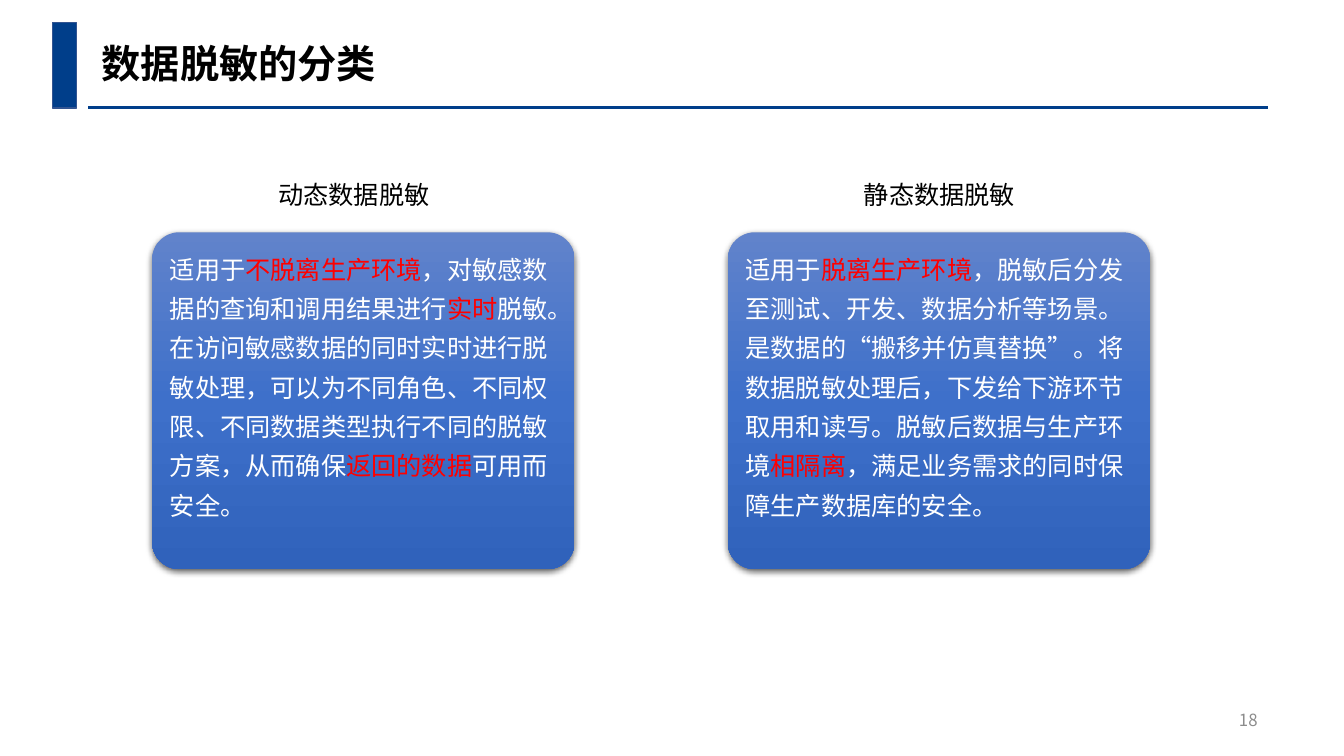
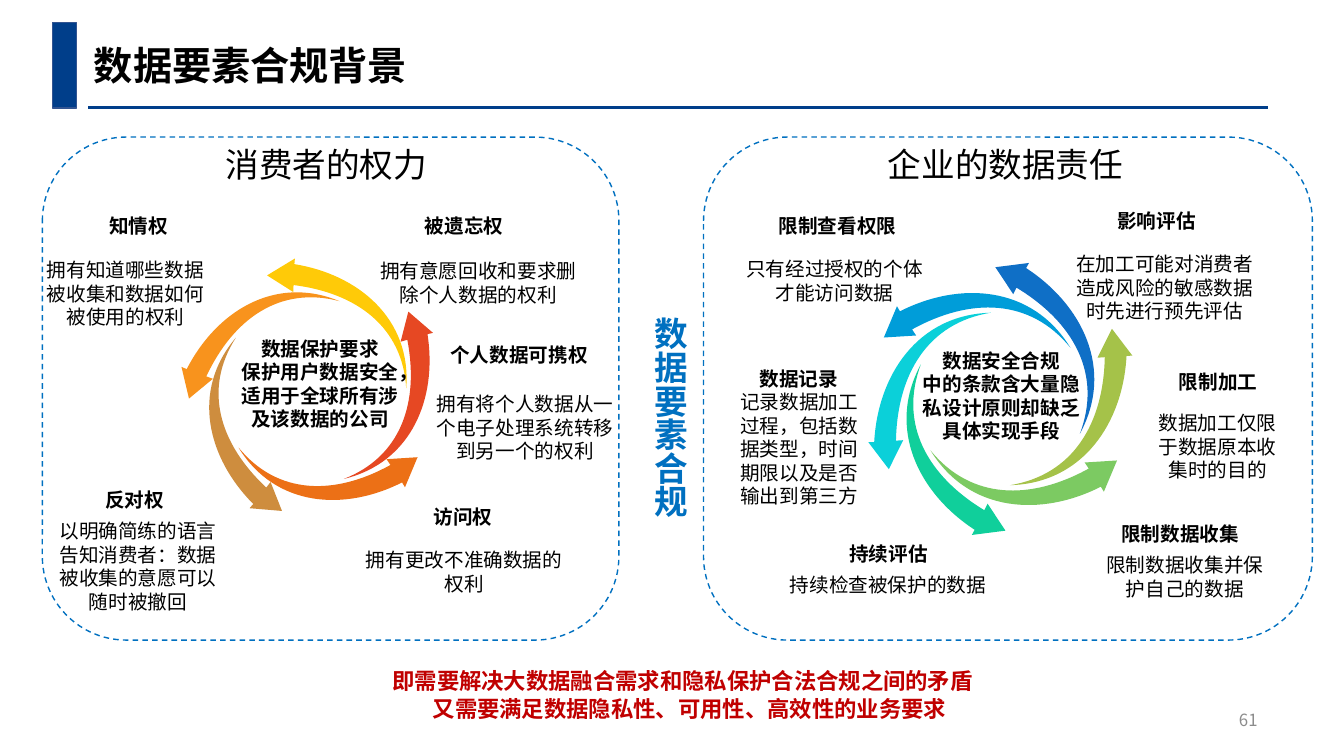
"""Build two slides on data masking and data compliance."""
import copy
import dataclasses
import math

import lxml.etree
import pptx
import pptx.dml.color
import pptx.enum.dml
import pptx.enum.shapes
import pptx.enum.text
import pptx.oxml.ns
import pptx.util

ALIGN = pptx.enum.text.PP_ALIGN
SHAPES = pptx.enum.shapes.MSO_SHAPE
qn = pptx.oxml.ns.qn


@dataclasses.dataclass(frozen=True)
class Theme:
    """Colours, type sizes and the grid of the deck."""
    font: str = "Noto Sans CJK SC"
    ink: str = "000000"
    paper: str = "FFFFFF"
    band: str = "003E8A"
    band_edge: str = "325491"
    blue: str = "0070C0"
    accent: str = "FF0000"
    closing: str = "C00000"
    muted: str = "8C8C8C"
    card: tuple = ("6183CB", "3E70CA", "3062BB")
    rights: tuple = ("FFCA08", "F8931D", "CE8D3E", "EC7016", "E64823")
    duties: tuple = ("7CCA62", "A5C249", "0F6FC6", "009DD9", "0BD0D9", "10CF9B")
    title: int = 28
    heading: int = 24
    body: int = 18
    remark: int = 16
    note: int = 14
    footer: int = 12
    columns: int = 80
    rows: int = 45


THEME = Theme()
NOTE_CHAR, NOTE_LINE, SIDE_INSETS, END_INSETS = 1.17, 1.41, 1.2, 0.6
CURVES = (
    ((2.4, 2.94), (5.94, 3), (9.42, 1.08)),
    ((9.18, 0.72),), ((11.1, 0.6),), ((10.32, 2.46),), ((10.14, 2.16),),
    ((6.6, 3.96), (2.28, 3.72), (0, 0)),
)


def rgb(value):
    """Return a colour object for a hex string."""
    return pptx.dml.color.RGBColor.from_string(value)


def write(frame, *paragraphs, size=THEME.note, color=THEME.ink, bold=False,
          align=ALIGN.LEFT, spacing=None, anchor=pptx.enum.text.MSO_ANCHOR.TOP,
          wrap=True):
    """Fill a text frame; stretches between asterisks take the accent colour."""
    frame.word_wrap = wrap
    frame.auto_size = pptx.enum.text.MSO_AUTO_SIZE.NONE
    frame.vertical_anchor = anchor
    for index, text in enumerate(paragraphs):
        paragraph = frame.add_paragraph() if index else frame.paragraphs[0]
        paragraph.alignment = align
        if spacing:
            paragraph.line_spacing = spacing
        for part, words in enumerate(text.split("*")):
            run = paragraph.add_run()
            run.text = words
            run.font.size = pptx.util.Pt(size)
            run.font.bold = bold
            run.font.color.rgb = rgb(THEME.accent if part % 2 else color)
            run.font.name = THEME.font
            east_asian = lxml.etree.SubElement(run._r.get_or_add_rPr(), qn("a:ea"))
            east_asian.set("typeface", THEME.font)


def turn(point, center, degrees):
    """Turn a point about a centre, clockwise on the slide."""
    cos, sin = math.cos(math.radians(degrees)), math.sin(math.radians(degrees))
    x, y = point[0] - center[0], point[1] - center[1]
    return center[0] + x * cos - y * sin, center[1] + x * sin + y * cos


def trace(start, segments, steps=24):
    """Return points along lines and cubic curves, to find their extent."""
    points = [start]
    for segment in segments:
        if len(segment) == 1:
            points.append(segment[0])
            continue
        controls = (points[-1], *segment)
        for t in (step / steps for step in range(1, steps + 1)):
            weights = ((1 - t) ** 3, 3 * t * (1 - t) ** 2, 3 * t * t * (1 - t), t ** 3)
            points.append(tuple(sum(w * p[axis] for w, p in zip(weights, controls))
                                for axis in (0, 1)))
    return points


class Deck:
    """Hold the style and the current slide, and draw on its grid."""

    def __init__(self):
        """Set the slide size, the grid unit and the layout."""
        self.presentation = pptx.Presentation()
        self.presentation.slide_width = pptx.util.Emu(12192000)
        self.presentation.slide_height = pptx.util.Emu(6858000)
        self.column = self.presentation.slide_width / THEME.columns
        self.row = self.presentation.slide_height / THEME.rows
        self.layout = self.presentation.slide_layouts[5]
        self.slide = None

    def place(self, left, top, width, height):
        """Turn columns and rows into lengths."""
        return [pptx.util.Emu(round(value * unit)) for value, unit in
                zip((left, top, width, height), (self.column, self.row) * 2)]

    def new_slide(self, title, box, number, align=ALIGN.LEFT):
        """Add a slide with its title and page number."""
        self.slide = self.presentation.slides.add_slide(self.layout)
        if len(self.presentation.slides) == 1:
            self.frame_layout()
        heading = self.slide.shapes.title
        heading.left, heading.top, heading.width, heading.height = self.place(*box)
        write(heading.text_frame, title, size=THEME.title, bold=True, align=align)
        self.text((61.95, 41.64, 13.5, 2.4), number, size=THEME.footer,
                  color=THEME.muted, align=ALIGN.RIGHT,
                  anchor=pptx.enum.text.MSO_ANCHOR.MIDDLE)

    def frame_layout(self):
        """Give the layout the bar and the rule that all slides share."""
        rule = self.slide.shapes.add_connector(
            pptx.enum.shapes.MSO_CONNECTOR.STRAIGHT,
            *self.place(5.26, 6.42, 75.48, 6.42))
        rule.line.color.rgb = rgb(THEME.band)
        rule.line.width = pptx.util.Pt(2.25)
        lxml.etree.SubElement(rule.element.find(qn("p:spPr")), qn("a:effectLst"))
        bar = self.shape(SHAPES.RECTANGLE, (3.12, 1.34, 1.44, 5.1),
                         fill=THEME.band, edge=THEME.band_edge)
        for identity, part in enumerate((rule, bar), start=90):
            part.element[0][0].set("id", str(identity))
            self.layout.shapes.element.append(part.element)

    def text(self, box, *paragraphs, **style):
        """Add a text box."""
        label = self.slide.shapes.add_textbox(*self.place(*box))
        write(label.text_frame, *paragraphs, **style)
        return label

    def vertical_text(self, box, text, **style):
        """Add a text box whose characters run downwards."""
        label = self.text(box, text, wrap=False, **style)
        label.element.find(".//" + qn("a:bodyPr")).set("vert", "eaVert")

    def shape(self, kind, box, fill=None, edge=None):
        """Add a preset shape with a plain fill and edge."""
        return self.paint(self.slide.shapes.add_shape(kind, *self.place(*box)),
                          fill, edge)

    def paint(self, shape, fill=None, edge=None):
        """Set fill and edge of a shape and drop its shadow."""
        shape.shadow.inherit = False
        if fill:
            shape.fill.solid()
            shape.fill.fore_color.rgb = rgb(fill)
        else:
            shape.fill.background()
        if edge:
            shape.line.color.rgb = rgb(edge)
            shape.line.width = pptx.util.Pt(1)
        else:
            shape.line.fill.background()
        return shape

    def card(self, box, *paragraphs):
        """Add a rounded card with a gradient, a soft shadow and text."""
        card = self.shape(SHAPES.ROUNDED_RECTANGLE, box)
        card.adjustments[0] = 0.08
        card.fill.gradient()
        card.fill.gradient_angle = 270
        stop_list = card.element.find(".//" + qn("a:gsLst"))
        stop_list.insert(1, copy.deepcopy(stop_list[0]))
        for index, stop in enumerate(card.fill.gradient_stops):
            stop.color.rgb = rgb(THEME.card[index])
            stop.position = index / 2
        shadow = lxml.etree.SubElement(
            card.element.find(".//" + qn("a:effectLst")), qn("a:outerShdw"),
            blurRad="57150", dist="19050", dir="5400000", algn="ctr", rotWithShape="0")
        tint = lxml.etree.SubElement(shadow, qn("a:srgbClr"), val=THEME.ink)
        lxml.etree.SubElement(tint, qn("a:alpha"), val="63000")
        write(card.text_frame, *paragraphs, size=THEME.body, color=THEME.paper,
              spacing=1.3)

    def panel(self, box):
        """Add a dashed rounded outline."""
        panel = self.shape(SHAPES.ROUNDED_RECTANGLE, box, edge=THEME.blue)
        panel.line.dash_style = pptx.enum.dml.MSO_LINE.DASH

    def curved_outline(self, start, segments):
        """Add a closed outline of lines and cubic curves."""
        points = [(round(x * self.column), round(y * self.row))
                  for x, y in trace(start, segments)]
        builder = self.slide.shapes.build_freeform(*points[0], scale=1.0)
        builder.add_line_segments(points[1:], close=True)
        outline = builder.convert_to_shape()
        route = outline.element.find(".//" + qn("a:path"))
        for command in list(route)[1:]:
            route.remove(command)
        for segment in segments:
            kind = "a:cubicBezTo" if len(segment) == 3 else "a:lnTo"
            command = lxml.etree.SubElement(route, qn(kind))
            for x, y in segment:
                lxml.etree.SubElement(command, qn("a:pt"),
                                      x=str(round(x * self.column) - outline.left),
                                      y=str(round(y * self.row) - outline.top))
        lxml.etree.SubElement(route, qn("a:close"))
        return outline

    def ring(self, center, tail, scale, colors, first=0, extra=0):
        """Place arrows 60 degrees apart, each turned further by the extra step."""
        pivot = (center[0] * self.column, center[1] * self.row)

        def spot(point, angle):
            return turn([c + t + scale * p for c, t, p in zip(center, tail, point)],
                        center, angle)

        for step, color in enumerate(colors, start=first):
            angle = -60 * step
            arrow = self.paint(self.curved_outline(
                spot((0, 0), angle),
                [[spot(point, angle) for point in curve] for curve in CURVES]), color)
            half_width, half_height = arrow.width / 2, arrow.height / 2
            x, y = turn((arrow.left + half_width, arrow.top + half_height),
                        pivot, -extra * step)
            arrow.left, arrow.top = round(x - half_width), round(y - half_height)
            arrow.rotation = -extra * step % 360

    def note(self, heading, heading_center, heading_top, body, center, top, width):
        """Add a bold heading and the centred text below it, both fitted."""
        heading_width = len(heading) * NOTE_CHAR + SIDE_INSETS
        lines = math.ceil(len(body) / int((width - SIDE_INSETS) / NOTE_CHAR))
        self.text((heading_center - heading_width / 2, heading_top, heading_width,
                   NOTE_LINE + END_INSETS), heading, bold=True, align=ALIGN.CENTER,
                  wrap=False)
        self.text((center - width / 2, top, width, lines * NOTE_LINE + END_INSETS),
                  body, align=ALIGN.CENTER)


MASKING = [
    ("动态数据脱敏", 14.4, 9.06,
     "适用于*不脱离生产环境*，对敏感数据的查询和调用结果进行*实时*脱敏。",
     "在访问敏感数据的同时实时进行脱敏处理，可以为不同角色、不同权限、"
     "不同数据类型执行不同的脱敏方案，从而确保*返回的数据*可用而安全。"),
    ("静态数据脱敏", 49.26, 43.32,
     "适用于*脱离生产环境*，脱敏后分发至测试、开发、数据分析等场景。",
     "是数据的“搬移并仿真替换”。将数据脱敏处理后，下发给下游环节取用和读写。"
     "脱敏后数据与生产环境*相隔离*，满足业务需求的同时保障生产数据库的安全。"),
]
RIGHTS = [
    ("个人数据可携权", 30.9, 20.1,
     "拥有将个人数据从一个电子处理系统转移到另一个的权利", 31.26, 23.04, 11.88),
    ("访问权", 27.57, 29.76, "拥有更改不准确数据的权利", 27.63, 32.34, 12.9),
    ("被遗忘权", 27.63, 12.42, "拥有意愿回收和要求删除个人数据的权利", 28.47, 15.12, 13.14),
    ("知情权", 8.25, 12.42, "拥有知道哪些数据被收集和数据如何被使用的权利", 7.47, 15.06, 10.62),
    ("反对权", 8.01, 28.74,
     "以明确简练的语言告知消费者：数据被收集的意愿可以随时被撤回", 8.22, 30.6, 11.04),
]
DUTIES = [
    ("影响评估", 68.85, 12.12,
     "在加工可能对消费者造成风险的敏感数据时先进行预先评估", 69.33, 14.7, 12.78),
    ("限制查看权限", 49.86, 12.42, "只有经过授权的个体才能访问数据", 49.68, 15, 12.12),
    ("数据记录", 47.55, 21.54,
     "记录数据加工过程，包括数据类型，时间期限以及是否输出到第三方", 47.58, 22.92, 9),
    ("持续评估", 52.89, 31.98, "持续检查被保护的数据", 52.86, 33.78, 13.08),
    ("限制数据收集", 70.26, 30.78, "限制数据收集并保护自己的数据", 70.53, 32.64, 10.74),
    ("限制加工", 72.51, 21.72, "数据加工仅限于数据原本收集时的目的", 72.48, 24.18, 8.76),
]


def masking_slide(deck):
    """Draw the two kinds of data masking."""
    deck.new_slide("数据脱敏的分类", (5.46, 2.04, 42.12, 3.42), "18")
    for name, name_left, card_left, *paragraphs in MASKING:
        deck.text((name_left, 10.38, 13.32, 2.4), name, size=THEME.body,
                  align=ALIGN.CENTER)
        deck.card((card_left, 13.83, 25.14, 20.04), *paragraphs)


def compliance_slide(deck):
    """Draw consumer rights beside company duties."""
    deck.new_slide("数据要素合规背景", (4.74, 2.16, 20.34, 4.68), "61", ALIGN.CENTER)
    deck.ring((59.55, 23.75), (-4.16, 3.06), 1, THEME.duties)
    deck.ring((18.62, 23.26), (-4.42, 3.38), 0.96, THEME.rights, first=2, extra=12)
    sides = [
        ("消费者的权力", (12.84, 8.28, 22.56, 3.42), (2.52, 8.16, 34.32, 29.94),
         RIGHTS, (13.41, 19.74, 11.28, 6.24),
         ("数据保护要求", "保护用户数据安全，适用于全球所有涉及该数据的公司")),
        ("企业的数据责任", (52.26, 8.28, 15.84, 3), (41.88, 8.16, 36.24, 29.94),
         DUTIES, (54.09, 20.46, 11.04, 6.24),
         ("数据安全合规", "中的条款含大量隐私设计原则却缺乏具体实现手段")),
    ]
    for name, name_box, panel, notes, hub, hub_text in sides:
        deck.panel(panel)
        deck.text(name_box, name, size=THEME.heading)
        deck.text(hub, *hub_text, bold=True, align=ALIGN.CENTER)
        for note in notes:
            deck.note(*note)
    deck.vertical_text((37.74, 18.3, 3.66, 12.72), "数据要素合规",
                       size=THEME.heading, color=THEME.blue, bold=True)
    for left, top, width, closing in (
            (22.77, 39.42, 41.76, "即需要解决大数据融合需求和隐私保护合法合规之间的矛盾"),
            (25.17, 41.1, 38.04, "又需要满足数据隐私性、可用性、高效性的业务要求")):
        deck.text((left, top, width, 2.22), closing, size=THEME.remark,
                  color=THEME.closing, bold=True)


if __name__ == "__main__":
    main_deck = Deck()
    masking_slide(main_deck)
    compliance_slide(main_deck)
    main_deck.presentation.save("out.pptx")
